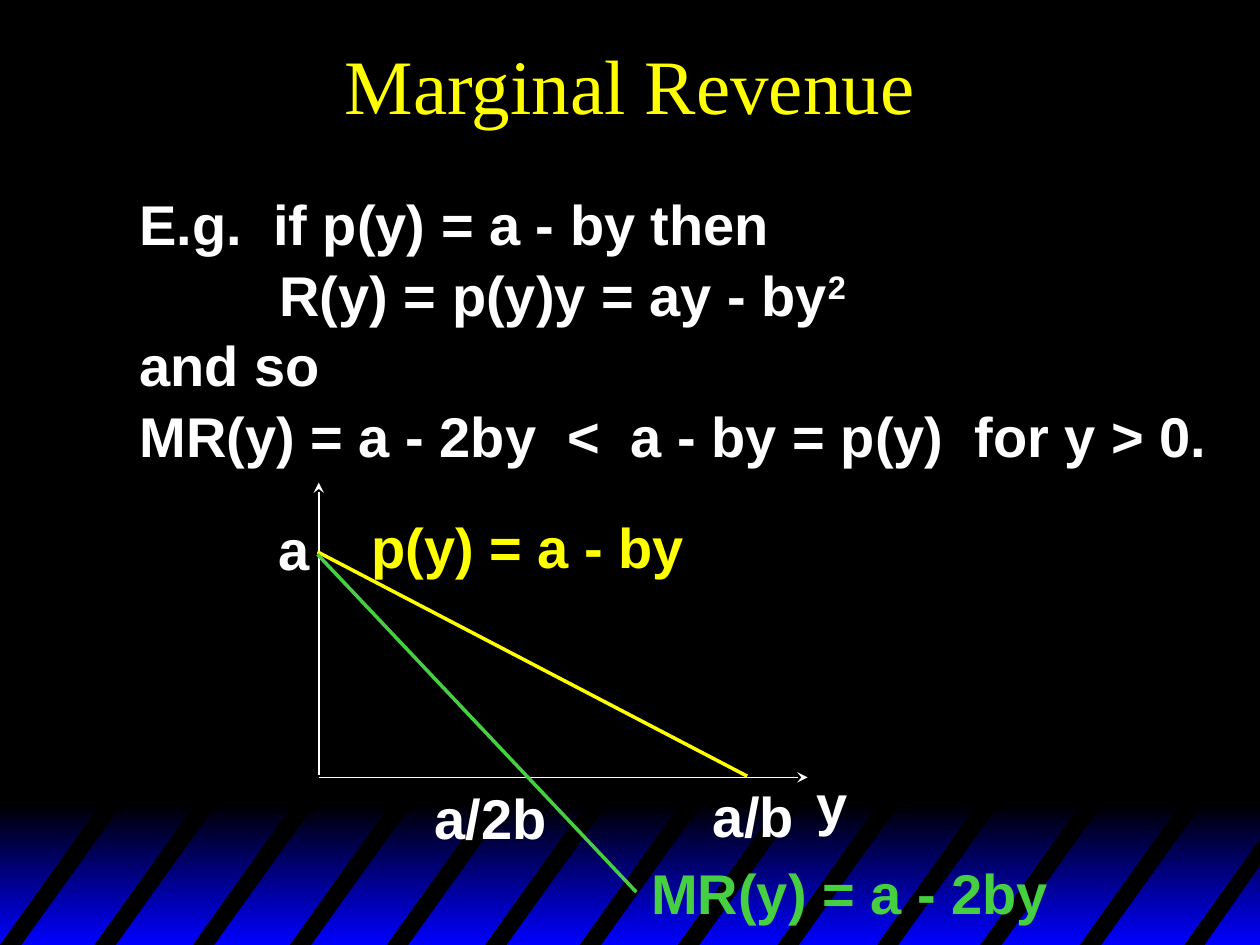
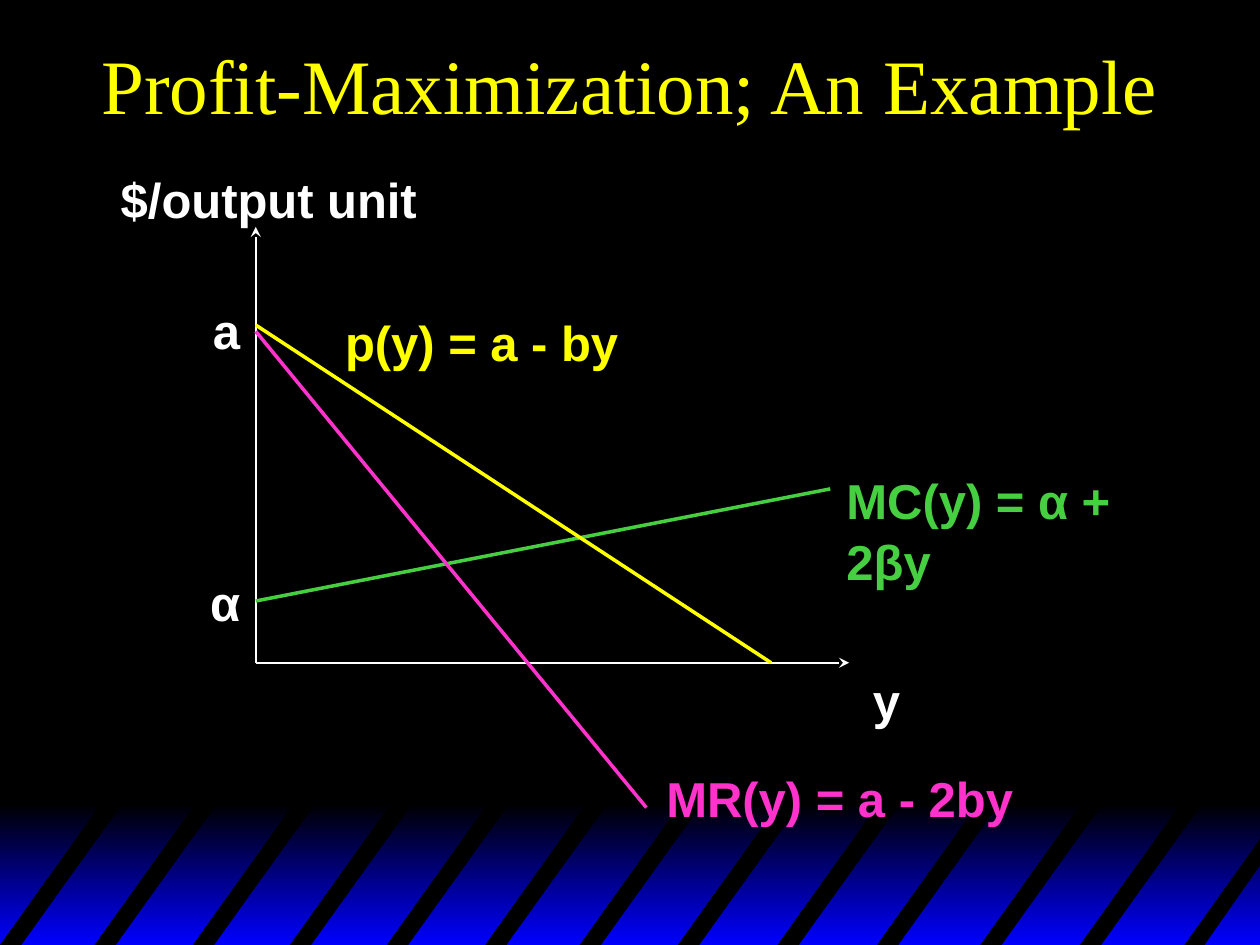
from pptx import Presentation
from pptx.dml.color import RGBColor
from pptx.enum.shapes import MSO_CONNECTOR, MSO_SHAPE
from pptx.enum.text import MSO_ANCHOR, PP_ALIGN
from pptx.oxml.ns import qn
from pptx.util import Inches, Pt
from lxml import etree

BLACK = RGBColor(0, 0, 0)
BLUE = RGBColor(0, 0, 0xFF)
WHITE = RGBColor(0xFF, 0xFF, 0xFF)
YELLOW = RGBColor(0xFF, 0xFF, 0)
GREEN = RGBColor(0x46, 0xCF, 0x41)
PINK = RGBColor(0xFF, 0x33, 0xCC)

RECT = MSO_SHAPE.RECTANGLE
LINE = MSO_CONNECTOR.STRAIGHT
MIDDLE = MSO_ANCHOR.MIDDLE
CENTER = PP_ALIGN.CENTER

TITLE = {"name": "Times New Roman", "size": Pt(44), "bold": False}
LABEL = {"name": "Arial", "bold": True}
LEADING = 1.05

BAND_TOP, BAND_END = 6.34, 7.5
SLANT, STRIPE = 0.83, 0.17
STRIPES = (0, 0.75, 1.53, 2.3, 3.07, 3.85, 4.6, 5.38, 6.17, 6.96, 7.78, 8.57)


def style(font, form, color):
    for key, value in form.items():
        setattr(font, key, value)
    font.color.rgb = color


def add_stripe(group, points):
    pen = group.shapes.build_freeform(*map(Inches, points[0]))
    pen.add_line_segments([tuple(map(Inches, p)) for p in points[1:]])
    stripe = pen.convert_to_shape()
    stripe.shadow.inherit = False
    stripe.fill.solid()
    stripe.fill.fore_color.rgb = BLACK
    stripe.line.fill.background()


def add_band(slide, master):
    """Draw the striped band and move it into the master."""
    group = slide.shapes.add_group_shape()
    base = group.shapes.add_shape(
        RECT, 0, Inches(6.38), Inches(10), Inches(1.12))
    base.shadow.inherit = False
    base.line.fill.background()
    base.fill.gradient()
    base.fill.gradient_angle = 270
    for stop, color in zip(base.fill.gradient_stops, (BLACK, BLUE)):
        stop.color.rgb = color
    for left in STRIPES:
        top = left + SLANT
        add_stripe(group, [(left, BAND_END), (top, BAND_TOP),
                           (top + STRIPE, BAND_TOP),
                           (left + STRIPE, BAND_END)])
    add_stripe(group, [(9.4, BAND_END), (10, 6.66), (10, 6.87),
                       (9.56, BAND_END)])
    master.shapes.element.insert(2, group.element)


def add_title(slide, text):
    title = slide.shapes.title
    title.left, title.top = 0, 0
    title.width, title.height = Inches(10), Inches(1.33)
    frame = title.text_frame
    frame.vertical_anchor = MIDDLE
    frame.text = text
    para = frame.paragraphs[0]
    para.alignment = CENTER
    style(para.font, TITLE, YELLOW)


def add_text(slide, lines, box, size, color=WHITE, wrap=False):
    shape = slide.shapes.add_textbox(*map(Inches, box))
    frame = shape.text_frame
    frame.word_wrap = wrap
    frame.text = "\n".join(lines)
    for para in frame.paragraphs:
        para.line_spacing = LEADING
        style(para.font, LABEL, color)
        para.font.size = Pt(size)
    return frame


def add_line(slide, start, end, color, width=2):
    line = slide.shapes.add_connector(LINE, *map(Inches, start + end))
    line.line.color.rgb = color
    line.line.width = Pt(width)
    etree.SubElement(line.element.spPr, qn("a:effectLst"))
    return line


def add_axis(slide, start, end):
    axis = add_line(slide, start, end, WHITE, 1)
    tail = etree.SubElement(axis.line._get_or_add_ln(), qn("a:tailEnd"))
    tail.set("type", "stealth")


def add_revenue(slide):
    add_title(slide, "Marginal Revenue")
    frame = add_text(slide, ["E.g.  if p(y) = a - by then",
                             "R(y) = p(y)y = ay - by",
                             "and so",
                             "MR(y) = a - 2by  <  a - by = p(y)  for y > 0."],
                     (1.01, 1.43, 8.68, 2.24), 32)
    square = frame.paragraphs[1]
    square._p.get_or_add_pPr().set("marL", str(Inches(1.11)))
    power = square.add_run()
    power.text = "2"
    power._r.get_or_add_rPr().set("baseline", "30000")

    add_axis(slide, (2.53, 6.15), (2.53, 3.83))
    add_axis(slide, (2.53, 6.17), (6.41, 6.17))
    add_line(slide, (2.52, 4.38), (5.93, 6.16), YELLOW)
    add_line(slide, (2.52, 4.4), (5.05, 7.08), GREEN)
    for text, left, top, width, color in (
            ("p(y) = a - by", 2.85, 3.99, 2.69, YELLOW),
            ("a", 2.11, 4.01, 0.45, WHITE),
            ("y", 6.38, 6.03, 0.45, WHITE),
            ("a/b", 5.56, 6.13, 0.85, WHITE),
            ("MR(y) = a - 2by", 5.07, 6.74, 3.36, GREEN),
            ("a/2b", 3.35, 6.14, 1.09, WHITE)):
        add_text(slide, [text], (left, top, width, 0.63), 32, color)


def add_profit(slide):
    add_title(slide, "Profit-Maximization; An Example")
    origin = (2.03, 5.26)
    add_axis(slide, origin, (2.03, 1.8))
    add_axis(slide, origin, (6.74, 5.26))
    add_line(slide, (2.03, 4.77), (6.59, 3.88), GREEN)
    add_line(slide, (2.03, 2.58), (6.12, 5.26), YELLOW)
    add_line(slide, (2.03, 2.63), (5.13, 6.41), PINK)
    for text, left, top, width, color in (
            ("$/output unit", 0.86, 1.27, 2.55, WHITE),
            ("y", 6.83, 5.25, 0.42, WHITE),
            ("p(y) = a - by", 2.64, 2.41, 2.37, YELLOW),
            ("MR(y) = a - 2by", 5.19, 6.03, 2.95, PINK),
            ("a", 1.59, 2.31, 0.42, WHITE),
            ("α", 1.57, 4.47, 0.45, WHITE)):
        add_text(slide, [text], (left, top, width, 0.57), 28, color)
    add_text(slide, ["MC(y) = α + 2βy"], (6.62, 3.66, 2.8, 0.57), 28,
             GREEN, wrap=True)


def main():
    prs = Presentation()
    prs.slide_width, prs.slide_height = Inches(10), Inches(7.5)
    master = prs.slide_master
    master.background.fill.solid()
    master.background.fill.fore_color.rgb = BLACK
    layout = prs.slide_layouts.get_by_name("Title Only")
    first, second = (prs.slides.add_slide(layout) for _ in range(2))
    add_band(first, master)
    add_revenue(first)
    add_profit(second)
    prs.save("out.pptx")


if __name__ == "__main__":
    main()
